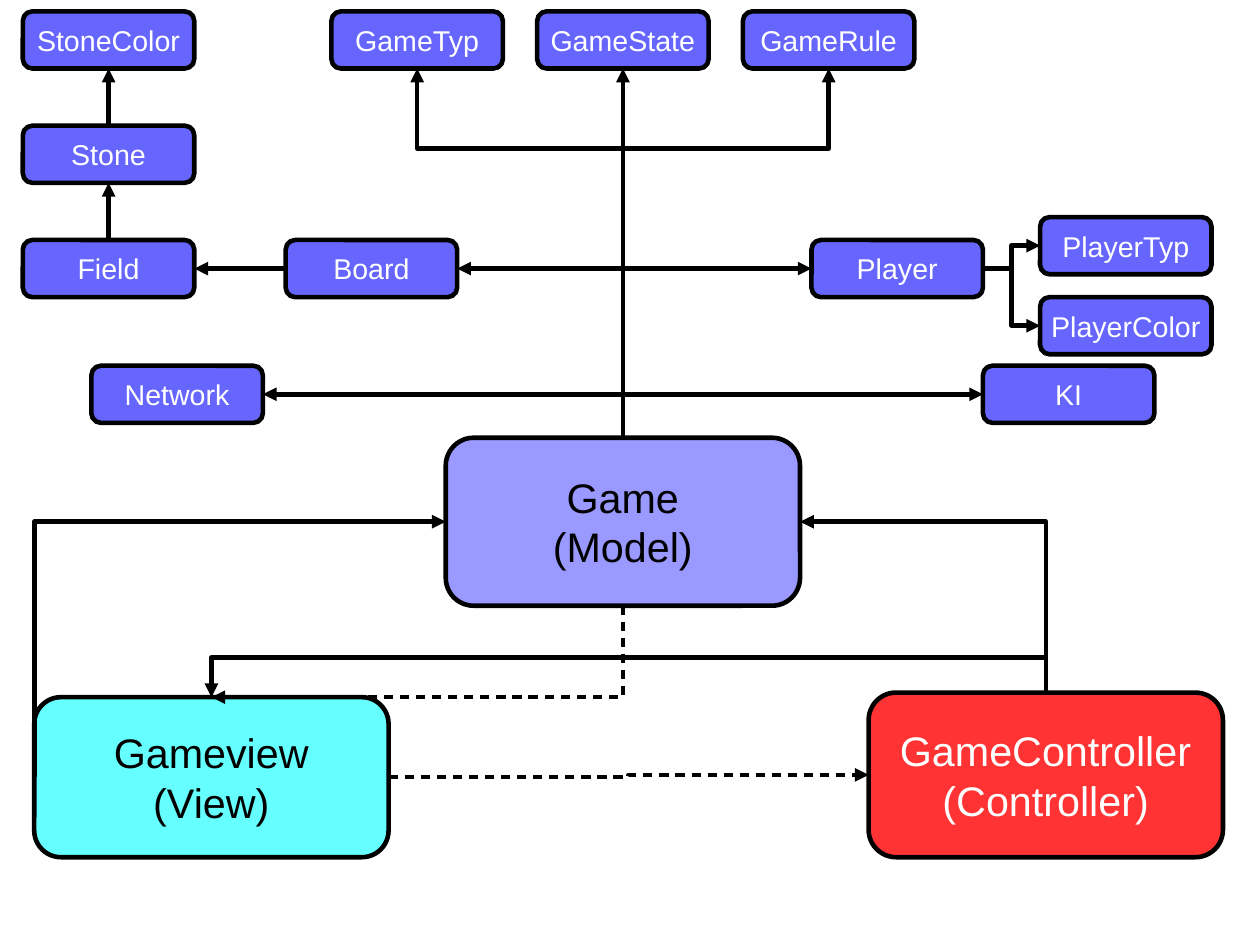
from lxml.etree import SubElement
from pptx import Presentation
from pptx.dml.color import RGBColor
from pptx.enum.shapes import MSO_CONNECTOR as CONNECTOR, MSO_SHAPE as SHAPE
from pptx.enum.text import MSO_ANCHOR as ANCHOR, PP_ALIGN as ALIGN
from pptx.oxml.ns import qn
from pptx.util import Cm, Inches, Pt

CELL = Inches(0.1)
SLIDE_WIDTH, SLIDE_HEIGHT = Cm(28), Cm(21)
LINE_WIDTH = Pt(2.89)
BLACK, WHITE = "000000", "FFFFFF"

CLASS_CELLS = {
    "StoneColor": (2, 1), "GameTyp": (29, 1), "GameState": (47, 1), "GameRule": (65, 1),
    "Stone": (2, 11), "Field": (2, 21), "Board": (25, 21), "Player": (71, 21),
    "PlayerTyp": (91, 19), "PlayerColor": (91, 26), "Network": (8, 32), "KI": (86, 32),
}


def grid(cells):
    """Convert a number of grid cells to a length."""
    return round(cells * CELL)


def paint(target, color):
    """Give a fill or a line one solid colour."""
    target.solid()
    target.fore_color.rgb = RGBColor.from_string(color)


def add_box(slide, text, column, row, columns, rows, color, font_color, size):
    """Add a rounded box with centred text, placed on the grid."""
    shape = slide.shapes.add_shape(SHAPE.ROUNDED_RECTANGLE,
                                   *map(grid, (column, row, columns, rows)))
    shape.shadow.inherit = False
    paint(shape.fill, color)
    paint(shape.line.fill, BLACK)
    shape.line.width = LINE_WIDTH
    frame = shape.text_frame
    frame.word_wrap = False
    frame.vertical_anchor = ANCHOR.MIDDLE
    frame.margin_left = frame.margin_right = Inches(0.12)
    frame.margin_top = frame.margin_bottom = Inches(0.07)
    frame.text = text
    for paragraph in frame.paragraphs:
        paragraph.alignment = ALIGN.CENTER
        paragraph.font.name = "Arial"
        paragraph.font.size = Pt(size)
        paragraph.font.color.rgb = RGBColor.from_string(font_color)
    return shape


def side_point(shape, side):
    """Return the middle of one side of a shape."""
    across, down = {"left": (0, 0.5), "right": (1, 0.5),
                    "top": (0.5, 0), "bottom": (0.5, 1)}[side]
    return shape.left + shape.width * across, shape.top + shape.height * down


def add_arrow(slide, source, source_side, target, target_side, bend=None, dashed=False):
    """Join two sides by a straight, single-bend or (with bend) double-bend arrow."""
    x1, y1 = side_point(source, source_side)
    x2, y2 = side_point(target, target_side)
    dx, dy = x2 - x1, y2 - y1
    straight = dx == 0 or dy == 0
    upright = source_side in ("top", "bottom") and not straight
    turn = -1 if dx < 0 and dy < 0 else 1
    run, rise = (turn * dy, -turn * dx) if upright else (dx, dy)
    middle_x, middle_y = (x1 + x2) / 2, (y1 + y2) / 2
    connector = slide.shapes.add_connector(
        CONNECTOR.STRAIGHT if straight else CONNECTOR.ELBOW,
        round(middle_x - run / 2), round(middle_y - rise / 2),
        round(middle_x + run / 2), round(middle_y + rise / 2))
    properties = connector._element.spPr
    if upright:
        properties.find(qn("a:xfrm")).set("rot", str(turn * 90 % 360 * 60000))
    geometry = properties.find(qn("a:prstGeom"))
    if bend is not None:
        adjustments = geometry.find(qn("a:avLst"))
        SubElement(adjustments, qn("a:gd"), name="adj1", fmla=f"val {round(bend * 100000)}")
    elif not straight:
        geometry.set("prst", "bentConnector2")
    style_arrow(connector, dashed)


def style_arrow(connector, dashed):
    """Make a connector a black arrow without shadow."""
    paint(connector.line.fill, BLACK)
    connector.line.width = LINE_WIDTH
    properties = connector._element.spPr
    line = properties.find(qn("a:ln"))
    if dashed:
        pattern = SubElement(line, qn("a:custDash"))
        SubElement(pattern, qn("a:ds"), d="200000", sp="150000")
    SubElement(line, qn("a:round"))
    SubElement(line, qn("a:tailEnd"), type="triangle")
    SubElement(properties, qn("a:effectLst"))


def main():
    """Build the class diagram slide."""
    presentation = Presentation()
    presentation.slide_width, presentation.slide_height = SLIDE_WIDTH, SLIDE_HEIGHT
    slide = presentation.slides.add_slide(presentation.slide_layouts[6])

    view = add_box(slide, "Gameview\n(View)", 3, 61, 31, 14, "66FFFF", BLACK, 26)
    game = add_box(slide, "Game\n(Model)", 39, 38.3, 31, 14.7, "9999FF", BLACK, 26)
    controller = add_box(slide, "GameController\n(Controller)", 76, 60.6, 31, 14.4,
                         "FF3333", WHITE, 26)
    classes = {name: add_box(slide, name, *cell, 15, 5, "6666FF", WHITE, 18)
               for name, cell in CLASS_CELLS.items()}

    for name, side in (("Board", "right"), ("Player", "left"),
                       ("Network", "right"), ("KI", "left")):
        add_arrow(slide, game, "top", classes[name], side)
    for name, bend in (("GameTyp", 0.783), ("GameState", None), ("GameRule", 0.783)):
        add_arrow(slide, game, "top", classes[name], "bottom", bend)
    for name in ("PlayerTyp", "PlayerColor"):
        add_arrow(slide, classes["Player"], "right", classes[name], "left", 0.5)
    add_arrow(slide, classes["Board"], "left", classes["Field"], "right")
    add_arrow(slide, classes["Field"], "top", classes["Stone"], "bottom")
    add_arrow(slide, classes["Stone"], "top", classes["StoneColor"], "bottom")

    add_arrow(slide, view, "left", game, "left", 0)
    add_arrow(slide, controller, "top", game, "right")
    add_arrow(slide, controller, "top", view, "top", -7.62)
    add_arrow(slide, game, "bottom", view, "top", dashed=True)
    add_arrow(slide, view, "right", controller, "left", 0.5, dashed=True)
    presentation.save("out.pptx")


if __name__ == "__main__":
    main()
